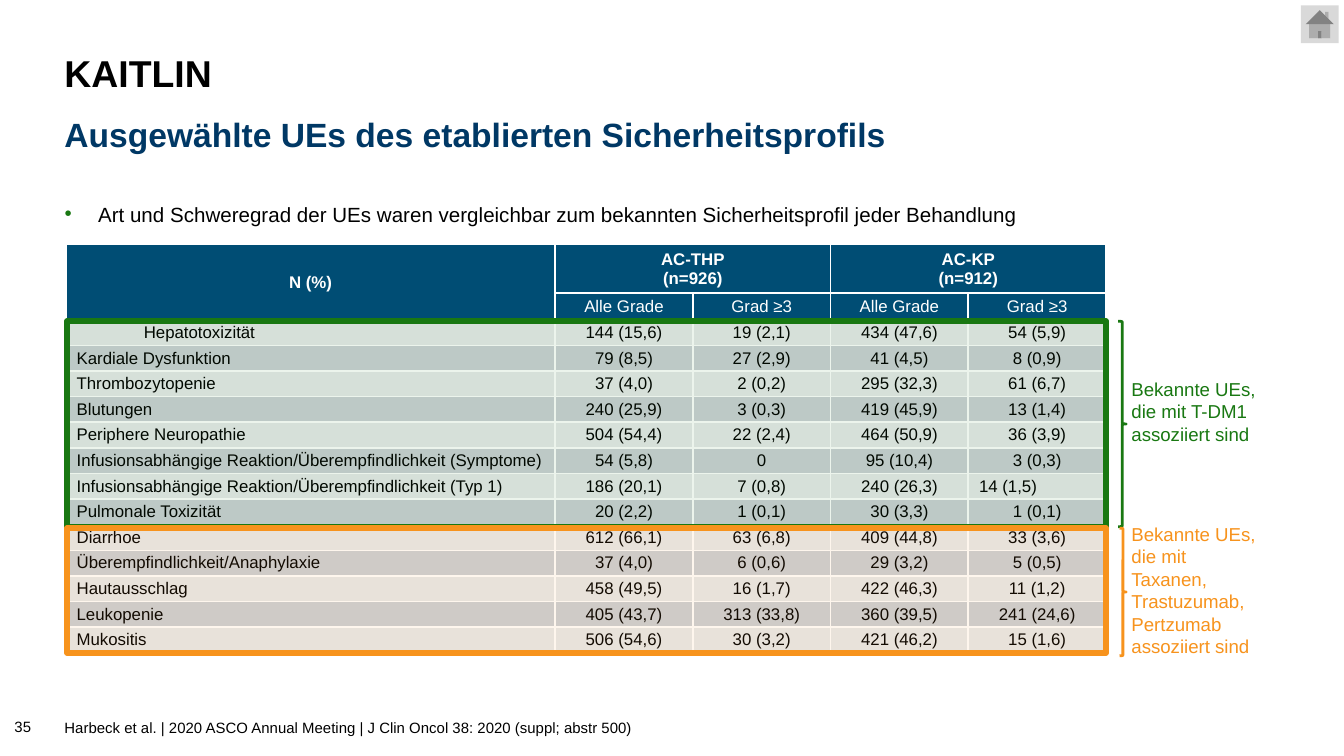
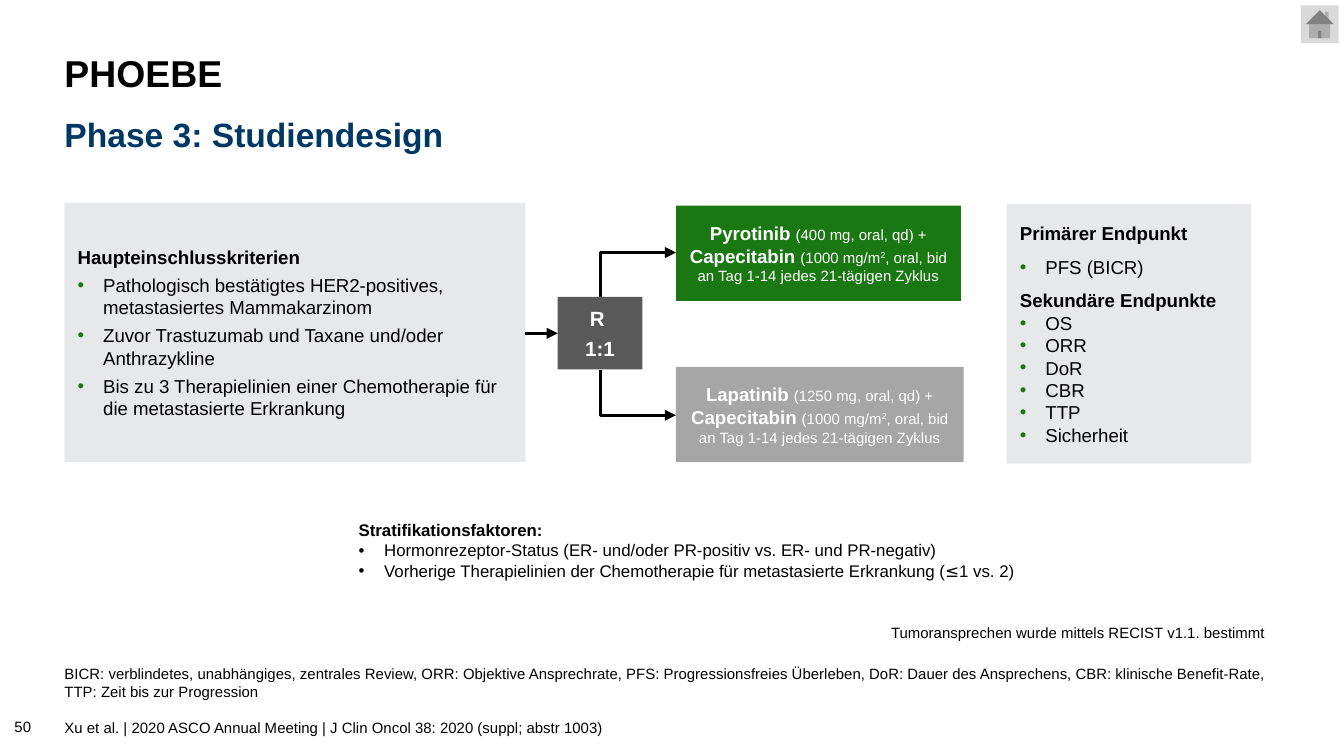
from dataclasses import dataclass
from typing import Optional

from lxml import etree
from pptx import Presentation
from pptx.dml.color import RGBColor
from pptx.enum import shapes, text
from pptx.oxml import ns
from pptx.util import Inches, Pt

BLACK = RGBColor(0x00, 0x00, 0x00)
WHITE = RGBColor(0xFF, 0xFF, 0xFF)
NAVY = RGBColor(0x00, 0x38, 0x65)
HEADER_BLUE = RGBColor(0x00, 0x4D, 0x74)
GREEN = RGBColor(0x19, 0x78, 0x12)
ORANGE = RGBColor(0xF7, 0x93, 0x1D)
PANEL = RGBColor(0xE7, 0xE8, 0xEA)
BAND_LIGHT = RGBColor(0xE7, 0xE9, 0xEB)
BAND_DARK = RGBColor(0xCC, 0xD0, 0xD6)
HOME_GRAY = RGBColor(0xD9, 0xD9, 0xD9)
DARK_GRAY = RGBColor(0x59, 0x59, 0x59)
MID_GRAY = RGBColor(0xA6, 0xA6, 0xA6)

FONT = "Arial"
LEFT = 0.48
START, CENTER = text.PP_ALIGN.LEFT, text.PP_ALIGN.CENTER
TOP, MIDDLE, BOTTOM = text.MSO_ANCHOR.TOP, text.MSO_ANCHOR.MIDDLE, text.MSO_ANCHOR.BOTTOM
DEFAULT_INSETS = (0.1, 0.05, 0.1, 0.05)
FLUSH_LEFT = (0, 0.05, 0.1, 0.05)
NO_INSETS = (0, 0, 0, 0)

ADVERSE_EVENTS = [
    ("\tHepatotoxizität", "144 (15,6)", "19 (2,1)", "434 (47,6)", "54 (5,9)"),
    ("Kardiale Dysfunktion", "79 (8,5)", "27 (2,9)", "41 (4,5)", "8 (0,9)"),
    ("Thrombozytopenie", "37 (4,0)", "2 (0,2)", "295 (32,3)", "61 (6,7)"),
    ("Blutungen", "240 (25,9)", "3 (0,3)", "419 (45,9)", "13 (1,4)"),
    ("Periphere Neuropathie", "504 (54,4)", "22 (2,4)", "464 (50,9)", "36 (3,9)"),
    ("Infusionsabhängige Reaktion/Überempfindlichkeit (Symptome)",
     "54 (5,8)", "0", "95 (10,4)", "3 (0,3)"),
    ("Infusionsabhängige Reaktion/Überempfindlichkeit (Typ 1)",
     "186 (20,1)", "7 (0,8)", "240 (26,3)", "14 (1,5)"),
    ("Pulmonale Toxizität", "20 (2,2)", "1 (0,1)", "30 (3,3)", "1 (0,1)"),
    ("Diarrhoe", "612 (66,1)", "63 (6,8)", "409 (44,8)", "33 (3,6)"),
    ("Überempfindlichkeit/Anaphylaxie", "37 (4,0)", "6 (0,6)", "29 (3,2)", "5 (0,5)"),
    ("Hautausschlag", "458 (49,5)", "16 (1,7)", "422 (46,3)", "11 (1,2)"),
    ("Leukopenie", "405 (43,7)", "313 (33,8)", "360 (39,5)", "241 (24,6)"),
    ("Mukositis", "506 (54,6)", "30 (3,2)", "421 (46,2)", "15 (1,6)"),
]
LEFT_ALIGNED_VALUE = (8, 4)


@dataclass
class Span:
    text: str
    size: float = 10
    color: RGBColor = BLACK
    bold: bool = False
    font: str = FONT
    superscript: bool = False


@dataclass
class Para:
    spans: list
    align: int = START
    before: float = 0
    spacing: Optional[float] = None
    bullet: Optional[RGBColor] = None
    indent: float = 0.19
    tab: Optional[float] = None


def line(words, size=10, color=BLACK, bold=False, **layout):
    """One paragraph with a single run."""
    return Para([Span(words, size, color, bold)], **layout)


def sub(parent, tag, **attributes):
    child = etree.SubElement(parent, ns.qn(tag))
    for name, value in attributes.items():
        child.set(name, str(value))
    return child


def write(frame, paras):
    for index, item in enumerate(paras):
        para = frame.add_paragraph() if index else frame.paragraphs[0]
        props = para._p.get_or_add_pPr()
        if item.bullet is not None:
            props.set("marL", str(Inches(item.indent)))
            props.set("indent", str(-Inches(item.indent)))
            sub(sub(props, "a:buClr"), "a:srgbClr", val=item.bullet)
            sub(props, "a:buFont", typeface=FONT)
            sub(props, "a:buChar", char="•")
        if item.tab is not None:
            sub(sub(props, "a:tabLst"), "a:tab", pos=Inches(item.tab), algn="l")
        para.alignment = item.align
        if item.spacing:
            para.line_spacing = item.spacing
        para.space_before = Pt(item.before)
        for part in item.spans:
            span = para.add_run()
            span.text = part.text
            span.font.name = part.font
            span.font.size = Pt(part.size)
            span.font.bold = part.bold
            span.font.color.rgb = part.color
            if part.superscript:
                span._r.get_or_add_rPr().set("baseline", "30000")


def set_insets(target, insets):
    (target.margin_left, target.margin_top,
     target.margin_right, target.margin_bottom) = map(Inches, insets)


def add_text(page, at, paras, anchor=TOP, insets=DEFAULT_INSETS, grow=False, wrap=True):
    frame = page.shapes.add_textbox(*map(Inches, at)).text_frame
    frame.word_wrap = wrap
    if grow:
        frame.auto_size = text.MSO_AUTO_SIZE.SHAPE_TO_FIT_TEXT
    frame.vertical_anchor = anchor
    set_insets(frame, insets)
    write(frame, paras)


def add_preset(page, kind, at, fill=None, outline=None, weight=1.5, opacity=None):
    box = page.shapes.add_shape(kind, *map(Inches, at))
    box.shadow.inherit = False
    if fill is None:
        box.fill.background()
    else:
        box.fill.solid()
        box.fill.fore_color.rgb = fill
        if opacity is not None:
            color = box.fill._xPr.find(".//" + ns.qn("a:srgbClr"))
            sub(color, "a:alpha", val=opacity * 1000)
    if outline is None:
        box.line.fill.background()
    else:
        box.line.color.rgb = outline
        box.line.width = Pt(weight)
    return box


def add_panel(page, at, fill, paras, insets=DEFAULT_INSETS):
    frame = add_preset(page, shapes.MSO_SHAPE.RECTANGLE, at, fill).text_frame
    frame.word_wrap = True
    frame.vertical_anchor = MIDDLE
    set_insets(frame, insets)
    write(frame, paras)


def add_arrow(page, start, end, kind=shapes.MSO_CONNECTOR.STRAIGHT):
    arrow = page.shapes.add_connector(kind, *map(Inches, start + end))
    arrow.line.color.rgb = BLACK
    arrow.line.width = Pt(1.5)
    sub(arrow.line._get_or_add_ln(), "a:tailEnd", type="triangle")
    sub(arrow._element.spPr, "a:effectLst")
    return arrow


def add_corner_arrow(page, start, end):
    """Arrow that leaves vertically, turns once and runs to the right."""
    (x1, y1), (x2, y2) = start, end
    mid_x, mid_y = (x1 + x2) / 2, (y1 + y2) / 2
    half_w, half_h = abs(y2 - y1) / 2, (x2 - x1) / 2
    down = y2 > y1
    rise = -half_h if down else half_h
    arrow = add_arrow(page, (mid_x + half_w, mid_y + rise), (mid_x - half_w, mid_y - rise),
                      shapes.MSO_CONNECTOR.ELBOW)
    props = arrow._element.spPr
    props.find(ns.qn("a:xfrm")).set("rot", str((270 if down else 90) * 60000))
    props.find(ns.qn("a:prstGeom")).set("prst", "bentConnector2")


def fill_cell(cell, paras, fill):
    cell.vertical_anchor = MIDDLE
    set_insets(cell, (0.08, 0, 0.08, 0))
    write(cell.text_frame, paras)
    props = cell._tc.get_or_add_tcPr()
    for side in ("a:lnL", "a:lnR", "a:lnT", "a:lnB"):
        border = sub(props, side, w=Pt(1))
        sub(sub(border, "a:solidFill"), "a:srgbClr", val=WHITE)
    cell.fill.solid()
    cell.fill.fore_color.rgb = fill


def add_event_table(page):
    count, width, height, label_width = len(ADVERSE_EVENTS), 7.74, 3.04, 3.64
    head_heights = [0.36, 0.2]
    frame = page.shapes.add_table(count + 2, 5, *map(Inches, (0.49, 1.82, width, height)))
    table = frame.table
    table.first_row = table.horz_banding = False
    for column, size in zip(table.columns, [label_width] + [(width - label_width) / 4] * 4):
        column.width = Inches(size)
    body_height = (height - sum(head_heights)) / count
    for row, size in zip(table.rows, head_heights + [body_height] * count):
        row.height = Inches(size)

    table.cell(0, 0).merge(table.cell(1, 0))
    table.cell(0, 1).merge(table.cell(0, 2))
    table.cell(0, 3).merge(table.cell(0, 4))
    headings = {0: ["N (%)"], 1: ["AC-THP", "(n=926)"], 3: ["AC-KP", "(n=912)"]}
    for c in range(5):
        paras = [line(words, 9, WHITE, True, align=CENTER) for words in headings.get(c, [])]
        fill_cell(table.cell(0, c), paras, HEADER_BLUE)
        grade = [line("Alle Grade" if c % 2 else "Grad ≥3", 9, WHITE, align=CENTER)] if c else []
        fill_cell(table.cell(1, c), grade, HEADER_BLUE)
    for r, event in enumerate(ADVERSE_EVENTS, start=2):
        for c, words in enumerate(event):
            centered = c > 0 and (r, c) != LEFT_ALIGNED_VALUE
            para = line(words, 9, align=CENTER if centered else START,
                        tab=0.5 if words.startswith("\t") else None)
            fill_cell(table.cell(r, c), [para], BAND_DARK if r % 2 else BAND_LIGHT)


def add_page(deck, title, subtitle, source, number):
    """Blank page with the home button, titles, source line and page number."""
    page = deck.slides.add_slide(deck.slide_layouts[6])
    add_preset(page, shapes.MSO_SHAPE.ACTION_BUTTON_HOME, (9.68, 0.04, 0.28, 0.28), HOME_GRAY)
    add_text(page, (LEFT, 0.3, 9.06, 0.52), [line(title, 20, bold=True, spacing=0.9)],
             MIDDLE, FLUSH_LEFT)
    add_text(page, (LEFT, 5.3, 9.06, 0.25), [line(source, 8)], insets=FLUSH_LEFT)
    add_text(page, (LEFT, 0.8, 9.06, 0.39), [line(subtitle, 18, NAVY, True)], MIDDLE, FLUSH_LEFT)
    add_text(page, (0.01, 5.27, 0.43, 0.25), [line(number, 8)], BOTTOM)
    return page


def add_safety_page(deck):
    page = add_page(deck, "KAITLIN", "Ausgewählte UEs des etablierten Sicherheitsprofils",
                    "Harbeck et al. | 2020 ASCO Annual Meeting | J Clin Oncol 38: 2020 (suppl; abstr 500)",
                    "35")
    add_text(page, (LEFT, 1.45, 9.05, 1.61), [
        line("Art und Schweregrad der UEs waren vergleichbar zum bekannten Sicherheitsprofil "
             "jeder Behandlung", 11, bullet=GREEN, indent=0.25)], insets=FLUSH_LEFT)
    add_event_table(page)
    groups = [
        (GREEN, 2.39, 1.53, (8.32, 0.06, 1.53), (2.76, 0.61),
         ["Bekannte UEs, die mit T-DM1 assoziiert sind"]),
        (ORANGE, 3.93, 0.93, (8.33, 0.05, 0.95), (3.84, 1.11),
         ["Bekannte UEs, die mit Taxanen, Trastuzumab,", "Pertzumab assoziiert sind"]),
    ]
    for color, top, height, brace, (label_top, label_height), label in groups:
        brace_left, *brace_size = brace
        add_text(page, (8.32, label_top, 1.19, label_height),
                 [line(words, color=color) for words in label], grow=True)
        add_preset(page, shapes.MSO_SHAPE.RIGHT_BRACE, (brace_left, top, *brace_size), outline=color)
        add_preset(page, shapes.MSO_SHAPE.RECTANGLE, (0.5, top, 7.73, height), color, color, 3, 8)


def add_arm(page, at, fill, drug, dose):
    def strong(words):
        return Span(words, 10, WHITE, True)

    def small(words, superscript=False):
        return Span(words, 8, WHITE, superscript=superscript)

    add_panel(page, at, fill, [
        Para([strong(drug + " "), small(f"({dose} mg, oral, qd) +")], CENTER),
        Para([strong("Capecitabin "), small("(1000 mg/m"), small("2", True),
              small(", oral, bid an Tag 1-14 jedes 21-tägigen Zyklus")], CENTER)])


def add_design_page(deck):
    page = add_page(deck, "PHOEBE", "Phase 3: Studiendesign",
                    "Xu et al. | 2020 ASCO Annual Meeting | J Clin Oncol 38: 2020 (suppl; abstr 1003)",
                    "50")
    add_text(page, (LEFT, 4.94, 9.06, 0.27), [
        line("BICR: verblindetes, unabhängiges, zentrales Review, ORR: Objektive Ansprechrate, "
             "PFS: Progressionsfreies Überleben, DoR: Dauer des Ansprechens, "
             "CBR: klinische Benefit-Rate, TTP: Zeit bis zur Progression", 8)],
        BOTTOM, NO_INSETS, grow=True)
    add_corner_arrow(page, (4.47, 2.75), (5.03, 3.09))
    add_corner_arrow(page, (4.47, 2.21), (5.03, 1.88))
    add_panel(page, (4.15, 2.21, 0.63, 0.54), DARK_GRAY, [
        line("R ", 11, WHITE, True, align=CENTER),
        line("1:1", 11, WHITE, True, align=CENTER, before=3)], (0.04, 0.05, 0.04, 0.05))
    criteria = ["Pathologisch bestätigtes HER2-positives, metastasiertes Mammakarzinom",
                "Zuvor Trastuzumab und Taxane und/oder Anthrazykline",
                "Bis zu 3 Therapielinien einer Chemotherapie für die metastasierte Erkrankung"]
    add_panel(page, (LEFT, 1.51, 3.43, 1.93), PANEL,
              [line("Haupteinschlusskriterien", bold=True)]
              + [line(words, before=3, bullet=GREEN) for words in criteria])
    add_arm(page, (5.03, 1.53, 2.12, 0.71), GREEN, "Pyrotinib", 400)
    add_arm(page, (5.03, 2.73, 2.14, 0.71), MID_GRAY, "Lapatinib", 1250)
    add_arrow(page, (3.91, 2.48), (4.15, 2.48))
    secondary = ["OS", "ORR", "DoR", "CBR", "TTP", "Sicherheit"]
    add_panel(page, (7.49, 1.52, 1.82, 1.93), PANEL,
              [line("Primärer Endpunkt", bold=True),
               line("PFS (BICR)", before=6, bullet=GREEN),
               line("Sekundäre Endpunkte", bold=True, before=6)]
              + [line(words, bullet=GREEN) for words in secondary])
    add_text(page, (2.57, 3.82, 5.13, 0.56), [
        line("Stratifikationsfaktoren:", 9, bold=True),
        line("Hormonrezeptor-Status (ER- und/oder PR-positiv vs. ER- und PR-negativ)", 9,
             bullet=BLACK),
        Para([Span("Vorherige Therapielinien der Chemotherapie für metastasierte Erkrankung (", 9),
              Span("≤", 9, font="DejaVu Sans"), Span("1 vs. 2)", 9)], bullet=BLACK)],
        grow=True, wrap=False)
    add_text(page, (6.63, 4.64, 2.9, 0.13),
             [line("Tumoransprechen wurde mittels RECIST v1.1. bestimmt", 8)],
             BOTTOM, NO_INSETS, grow=True)


def main():
    deck = Presentation()
    deck.slide_width = Inches(10)
    deck.slide_height = deck.slide_width * 9 // 16
    add_safety_page(deck)
    add_design_page(deck)
    deck.save("out.pptx")


if __name__ == "__main__":
    main()
